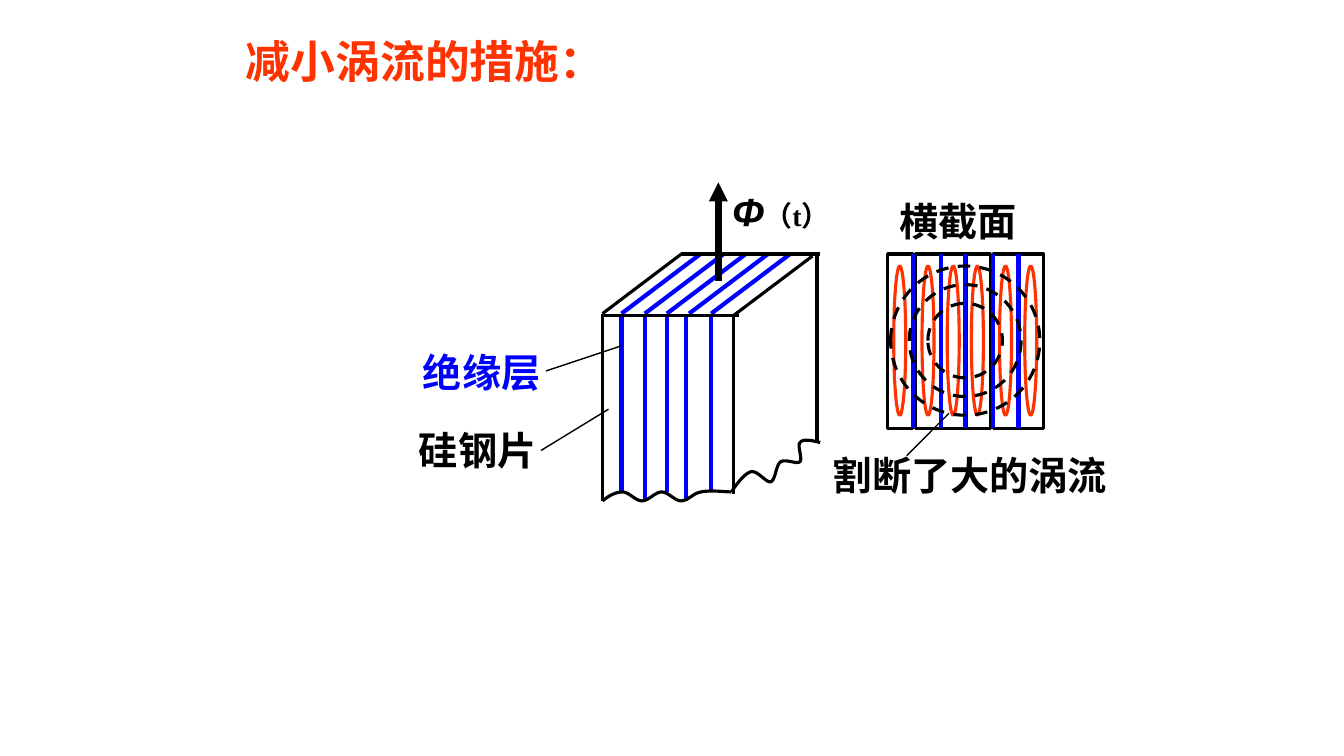
"""Build a slide on reducing eddy currents with a laminated core and its cross-section."""
from dataclasses import dataclass

from lxml import etree
from pptx import Presentation
from pptx.dml.color import RGBColor
from pptx.enum.dml import MSO_LINE
from pptx.enum.shapes import MSO_CONNECTOR, MSO_SHAPE
from pptx.enum.text import MSO_ANCHOR, PP_ALIGN
from pptx.oxml.ns import qn
from pptx.util import Pt

STRAIGHT = MSO_CONNECTOR.STRAIGHT
RECTANGLE, OVAL = MSO_SHAPE.RECTANGLE, MSO_SHAPE.OVAL
DASH = MSO_LINE.DASH
TOP, LEFT = MSO_ANCHOR.TOP, PP_ALIGN.LEFT


@dataclass(frozen=True)
class Theme:
    black: RGBColor = RGBColor(0, 0, 0)
    blue: RGBColor = RGBColor(0, 0, 0xFF)
    red: RGBColor = RGBColor(0xFF, 0x33, 0)
    font: str = "Times New Roman"
    symbol_font: str = "Arial"
    title_size: int = 32
    label_size: int = 28
    small_size: int = 20
    leader: float = 1
    edge: float = 2.25
    insulation: float = 3
    flux: float = 4.5


theme = Theme()
presentation = Presentation()
presentation.slide_width, presentation.slide_height = Pt(960.5), Pt(540)
slide = presentation.slides.add_slide(presentation.slide_layouts[5])


def draw_line(start, end, color, width):
    connector = slide.shapes.add_connector(STRAIGHT, *map(Pt, start + end))
    connector.line.color.rgb = color
    connector.line.width = Pt(width)
    etree.SubElement(connector.line._get_or_add_ln().getparent(), qn("a:effectLst"))
    return connector


def write_text(shape, box, text, color, size):
    shape.left, shape.top, shape.width, shape.height = map(Pt, box)
    frame = shape.text_frame
    frame.text = text
    frame.word_wrap = True
    frame.vertical_anchor = TOP
    paragraph = frame.paragraphs[0]
    paragraph.alignment = LEFT
    font = paragraph.runs[0].font
    font.name, font.size, font.bold = theme.font, Pt(size), True
    font.color.rgb = color
    return paragraph


write_text(slide.shapes.title, (168.5, 20.2, 289.4, 46), "减小涡流的措施：", theme.red, theme.title_size)

back_y, front_y, depth = 181.4, 224, 56.4
core_left, core_right, back_right = 430.6, 524.2, 583.9
draw_line((core_left, front_y), (core_left, 357.8), theme.black, theme.edge)
draw_line((core_left + depth, back_y), (core_left, front_y), theme.black, theme.edge)

insulation_layers = [(444.2, 444.2, 350.6), (460.8, 460.8, 357.8), (476.6, 476.6, 351.4),
                     (490.3, 492.5, 357.8), (508.3, 508.3, 350.6)]
for front_x, top_x, bottom in insulation_layers:
    draw_line((front_x, front_y), (front_x, bottom), theme.blue, theme.insulation)
    draw_line((top_x + depth, back_y), (top_x, front_y), theme.blue, theme.insulation)

core_edges = [
    ((back_right, back_y), (back_right, 316.1)),
    ((core_right, 225.4), (core_right, 352.8)),
    ((core_right + depth, 182.9), (core_right, 225.4)),
    ((core_left, 225.4), (527.8, 225.4)),
    ((core_left + depth, back_y), (586.1, back_y)),
]
for start, end in core_edges:
    draw_line(start, end, theme.black, theme.edge)

outlines = []
front_break = [(430.6, 357.8), (434.9, 354.2), (439.9, 351.4), (445, 351.4),
               (449.3, 351.4), (454.3, 357.8), (458.6, 357.8),
               (463.7, 357.8), (468, 351.4), (473, 351.4),
               (477.4, 351.4), (482.4, 357.8), (486.7, 357.8),
               (491.8, 357.8), (495.4, 352.1), (501.1, 351.4),
               (506.9, 349.9), (519.1, 351.4), (522.7, 351.4)]
side_break = [(522.7, 351.4), (527, 344.9), (532.1, 338.4), (536.4, 337),
              (541.4, 335.5), (547.2, 344.9), (550.8, 344.2),
              (554.4, 342.7), (554.4, 331.9), (558, 329.8),
              (561.6, 327.6), (569.5, 331.9), (571.7, 329.8),
              (573.8, 327.6), (569.5, 318.2), (571.7, 316.1),
              (573.8, 313.2), (580.3, 314.6), (586.1, 316.1)]
steps = 10
for controls in (front_break, side_break):
    points = []
    for first in range(0, len(controls) - 1, 3):
        for step in range(1, steps + 1):
            t = step / steps
            weights = ((1 - t) ** 3, 3 * t * (1 - t) ** 2, 3 * t * t * (1 - t), t ** 3)
            segment = controls[first:first + 4]
            points.append([Pt(sum(w * point[axis] for w, point in zip(weights, segment)))
                           for axis in (0, 1)])
    builder = slide.shapes.build_freeform(*map(Pt, controls[0]))
    builder.add_line_segments(points, close=False)
    outlines.append((builder.convert_to_shape(), theme.black))

flux_arrow = draw_line((513.4, 200.9), (513.4, 130.3), theme.black, theme.flux)
etree.SubElement(flux_arrow.line._get_or_add_ln(), qn("a:tailEnd"), type="triangle")

slice_lefts = [634.3, 654.5, 672.5, 689.8, 709.9, 727.9]
slice_width, slice_height = 18, 124.4
eddy_width, eddy_height = 8.6, 106.6
for left in slice_lefts:
    steel = slide.shapes.add_shape(RECTANGLE, Pt(left), Pt(back_y), Pt(slice_width), Pt(slice_height))
    eddy = slide.shapes.add_shape(OVAL, Pt(left + 4.4), Pt(190), Pt(eddy_width), Pt(eddy_height))
    outlines += [(steel, theme.black), (eddy, theme.red)]

for x in [slice_lefts[0] + slice_width] + slice_lefts[2:]:
    draw_line((x, back_y), (x, back_y + slice_height), theme.blue, theme.insulation)

center_x, center_y = 689.8, 243.3
for quarters in (4, 3, 2):
    diameter = eddy_height * quarters / 4
    circle = slide.shapes.add_shape(OVAL, Pt(center_x - diameter / 2), Pt(center_y - diameter / 2),
                                    Pt(diameter), Pt(diameter))
    circle.line.dash_style = DASH
    outlines.append((circle, theme.black))

for shape, color in outlines:
    shape.shadow.inherit = False
    shape.fill.background()
    shape.line.color.rgb = color
    shape.line.width = Pt(theme.edge)

leaders = [((444.2, 247), (390.2, 265)), ((434.9, 292.3), (386.6, 321.8)),
           ((678.2, 295.2), (648, 325.4))]
for start, end in leaders:
    draw_line(start, end, theme.black, theme.leader)

labels = [
    ((295.2, 245.5, 144, 41), "绝缘层", theme.blue),
    ((292.3, 301, 102.2, 41), "硅钢片", theme.black),
    ((635.8, 137.5, 108, 41), "横截面", theme.black),
    ((588.2, 319, 228.2, 41), "割断了大的涡流", theme.black),
    ((516.2, 130.3, 102.2, 41), "Φ", theme.black),
]
for box, text, color in labels:
    paragraph = write_text(slide.shapes.add_textbox(0, 0, 0, 0), box, text, color, theme.label_size)

symbol_font = paragraph.runs[0].font
symbol_font.name, symbol_font.italic = theme.symbol_font, True
time_run = paragraph.add_run()
time_run.text = "（t）"
time_font = time_run.font
time_font.name, time_font.size, time_font.bold = theme.font, Pt(theme.small_size), True
time_font.color.rgb = theme.black

presentation.save("out.pptx")
